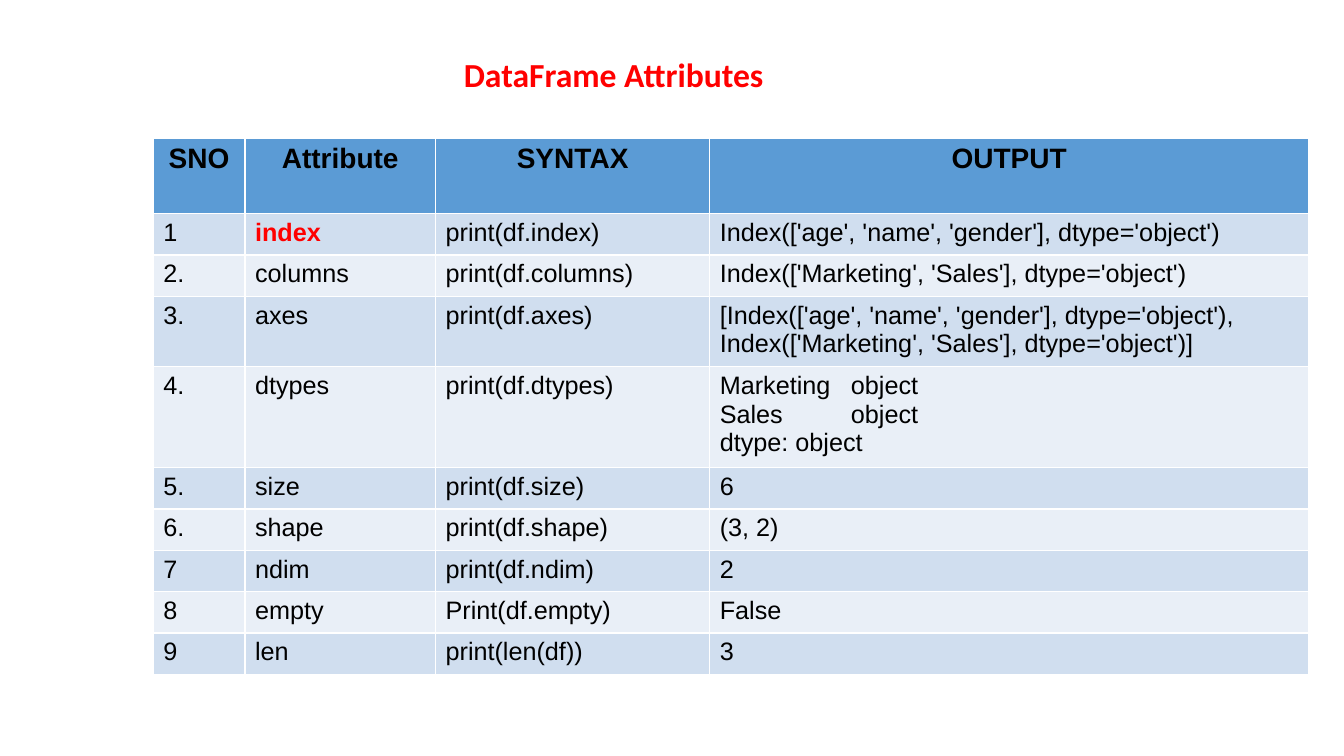
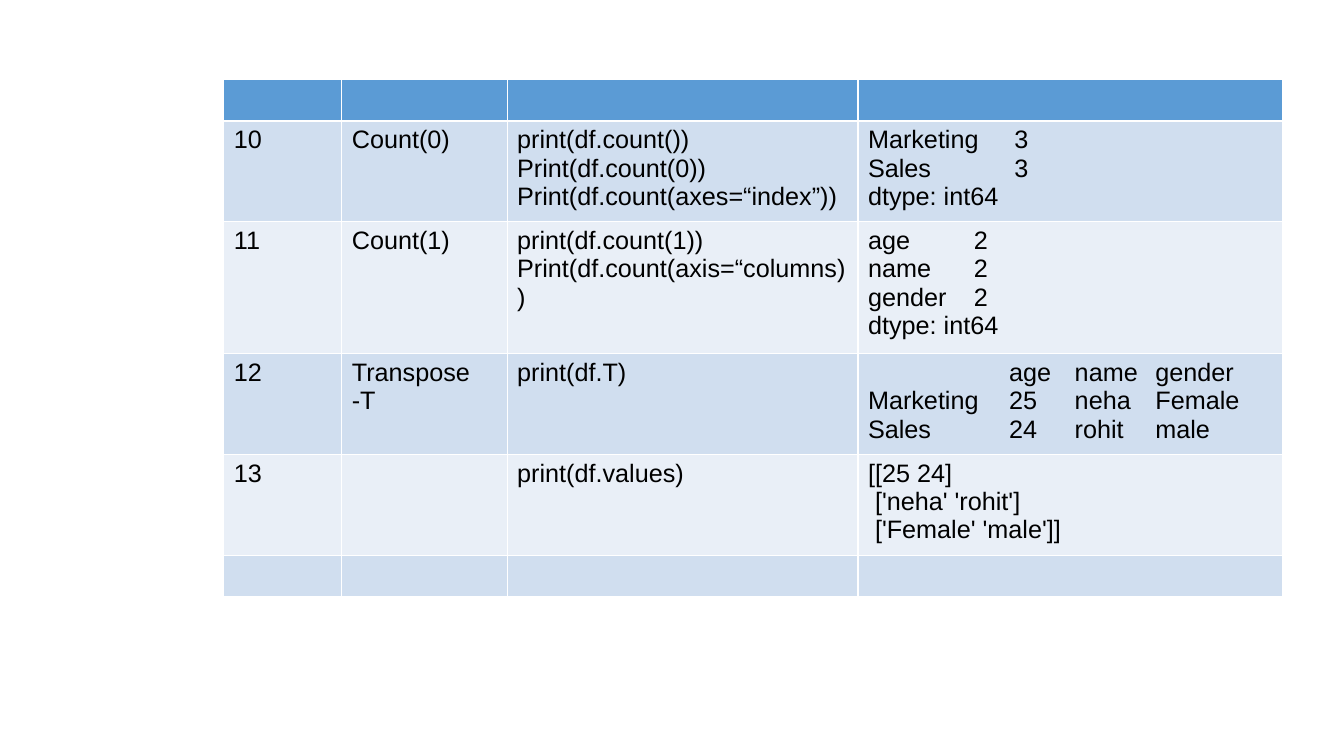
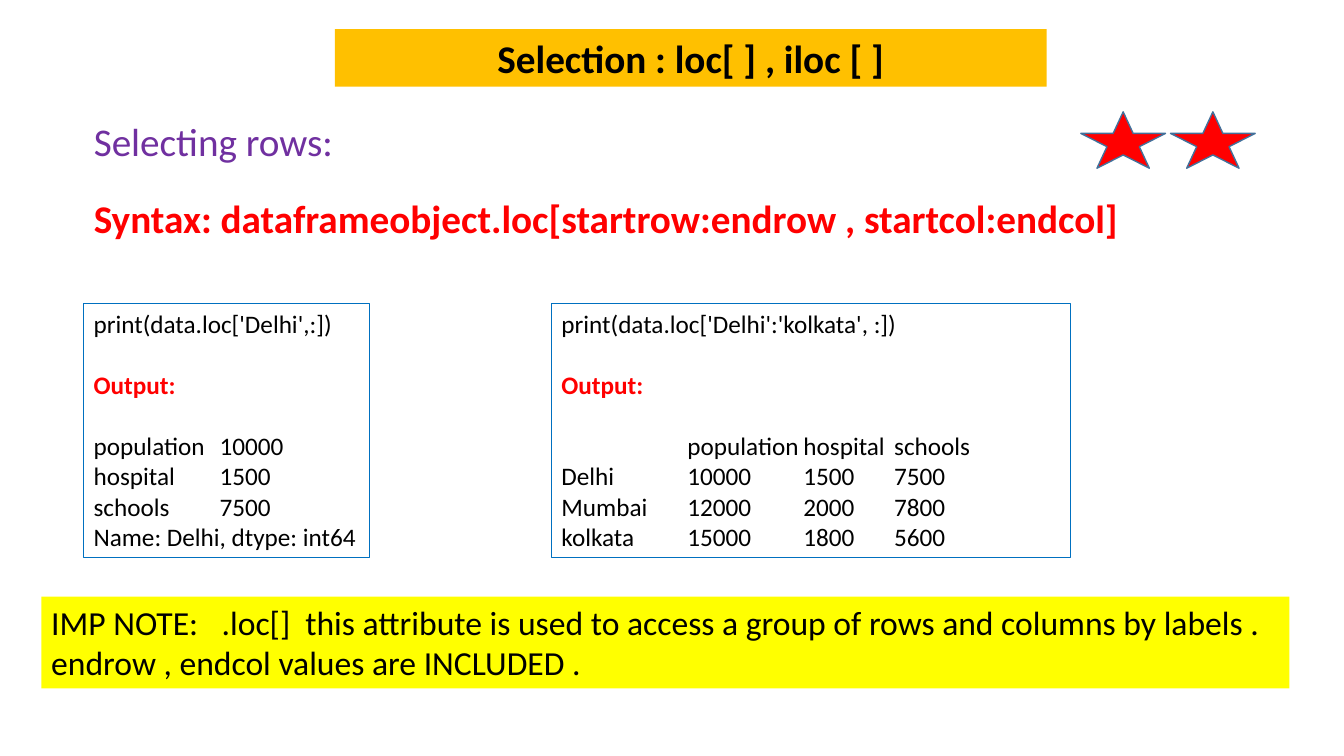
from pptx import Presentation
from pptx.dml.color import RGBColor
from pptx.enum import shapes, text
from pptx.oxml.ns import qn
from pptx.util import Inches, Pt
from lxml import etree

BLACK = RGBColor(0x00, 0x00, 0x00)
RED = RGBColor(0xFF, 0x00, 0x00)
PURPLE = RGBColor(0x70, 0x30, 0xA0)
ORANGE = RGBColor(0xFF, 0xC0, 0x00)
YELLOW = RGBColor(0xFF, 0xFF, 0x00)
BOX_BLUE = RGBColor(0x00, 0x70, 0xC0)
STAR_BLUE = RGBColor(0x42, 0x71, 0x9B)
HEADER_FILL = RGBColor(0x5B, 0x9B, 0xD5)
BAND_FILLS = (RGBColor(0xE9, 0xEF, 0xF7), RGBColor(0xD0, 0xDE, 0xEF))

EMPHASIS = ("index", "Output:")
ROW_HEIGHT = 0.41

ATTRIBUTES = [
    ("SNO", "Attribute", "SYNTAX", "OUTPUT"),
    ("1", "index", "print(df.index)", "Index(['age', 'name', 'gender'], dtype='object')"),
    ("2.", "columns", "print(df.columns)", "Index(['Marketing', 'Sales'], dtype='object')"),
    ("3.", "axes", "print(df.axes)",
     "[Index(['age', 'name', 'gender'], dtype='object'), Index(['Marketing', 'Sales'], dtype='object')]"),
    ("4.", "dtypes", "print(df.dtypes)", "Marketing\tobject\nSales\tobject\ndtype: object"),
    ("5.", "size", "print(df.size)", "6"),
    ("6.", "shape", "print(df.shape)", "(3, 2)"),
    ("7", "ndim", "print(df.ndim)", "2"),
    ("8", "empty", "Print(df.empty)", "False"),
    ("9", "len", "print(len(df))", "3"),
]
ATTRIBUTE_HEIGHTS = {0: 0.75, 3: 0.7, 4: 1}
ATTRIBUTE_TABS = {4: [1.3]}

METHODS = [
    ("", "", "", ""),
    ("10", "Count(0)", "print(df.count())\nPrint(df.count(0))\nPrint(df.count(axes=“index”))",
     "Marketing\t3\nSales\t3\ndtype: int64"),
    ("11", "Count(1)", "print(df.count(1))\nPrint(df.count(axis=“columns))",
     "age\t2\nname\t2\ngender\t2\ndtype: int64"),
    ("12", "Transpose -T", "print(df.T)",
     "\tage\tname\tgender\nMarketing\t25\tneha\tFemale\nSales\t24\trohit\tmale"),
    ("13", "", "print(df.values)", "[[25 24]\n ['neha' 'rohit']\n ['Female' 'male']]"),
    ("", "", "", ""),
]
METHOD_HEIGHTS = {1: 1, 2: 1.31, 3: 1, 4: 1}
METHOD_TABS = {1: [1.45], 2: [1.05], 3: [1.4, 2.05, 2.85]}

EXAMPLES = [
    (0.83, 2.84, [1.25],
     ["print(data.loc['Delhi',:])", "Output:", "population\t10000", "hospital\t1500",
      "schools\t7500", "Name: Delhi, dtype: int64"]),
    (5.47, 5.15, [1.25, 2.4, 3.3],
     ["print(data.loc['Delhi':'kolkata', :])", "Output:", "\tpopulation\thospital\tschools",
      "Delhi\t10000\t1500\t7500", "Mumbai\t12000\t2000\t7800", "kolkata\t15000\t1800\t5600"]),
]
NOTE = [
    "IMP NOTE:\t.loc[]\tthis attribute is used to access a group of rows and columns by labels .",
    "endrow , endcol values are INCLUDED .",
]


def place(part, left, top, width, height):
    part.left, part.top = Inches(left), Inches(top)
    part.width, part.height = Inches(width), Inches(height)


def style(paragraph, size, color=BLACK, bold=False, face="Calibri", align=text.PP_ALIGN.LEFT):
    paragraph.alignment = align
    font = paragraph.font
    font.size, font.bold, font.name = Pt(size), bold, face
    font.color.rgb = color


def set_tabs(paragraph, stops):
    tab_list = etree.SubElement(paragraph._p.get_or_add_pPr(), qn("a:tabLst"))
    for stop in stops:
        etree.SubElement(tab_list, qn("a:tab"), pos=str(Inches(stop)), algn="l")


def write(frame, lines, size, face="Calibri", tabs=()):
    frame.text = "\n".join(lines)
    for paragraph in frame.paragraphs:
        if tabs and "\t" in paragraph.text:
            set_tabs(paragraph, tabs)
        marked = paragraph.text in EMPHASIS
        style(paragraph, size, RED if marked else BLACK, marked, face)


def add_title(slide, wording, box, size, color, align):
    title = slide.shapes.title
    place(title, *box)
    title.text_frame.text = wording
    title.text_frame.auto_size = text.MSO_AUTO_SIZE.NONE
    style(title.text_frame.paragraphs[0], size, color, True, align=align)
    return title


def add_grid(slide, left, top, widths, rows, heights, tabs, header_size):
    row_heights = [heights.get(i, ROW_HEIGHT) for i in range(len(rows))]
    grid = slide.shapes.add_table(len(rows), len(widths), Inches(left), Inches(top),
                                  Inches(sum(widths)), Inches(sum(row_heights))).table
    for column, width in zip(grid.columns, widths):
        column.width = Inches(width)
    for i, (row, height, values) in enumerate(zip(grid.rows, row_heights, rows)):
        row.height = Inches(height)
        for cell, value in zip(row.cells, values):
            cell.fill.solid()
            cell.fill.fore_color.rgb = BAND_FILLS[i % 2] if i else HEADER_FILL
            write(cell.text_frame, value.split("\n"), 18, "Arial", tabs.get(i, ()))
            if i == 0:
                style(cell.text_frame.paragraphs[0], header_size, bold=True, face="Arial",
                      align=text.PP_ALIGN.CENTER)


def add_panel(slide, preset, box, fill=None, line=None, line_width=1):
    panel = slide.shapes.add_shape(preset, *map(Inches, box))
    panel.shadow.inherit = False
    if fill is None:
        panel.fill.background()
    else:
        panel.fill.solid()
        panel.fill.fore_color.rgb = fill
    if line is None:
        panel.line.fill.background()
    else:
        panel.line.color.rgb = line
        panel.line.width = Pt(line_width)
    panel.text_frame.word_wrap = True
    panel.text_frame.vertical_anchor = text.MSO_ANCHOR.TOP
    return panel


def attributes_slide(deck):
    slide = deck.slides.add_slide(deck.slide_layouts[5])
    add_title(slide, "DataFrame Attributes", (4.5, 0.48, 3.29, 0.5), 24, RED, text.PP_ALIGN.LEFT)
    add_grid(slide, 1.52, 1.37, [0.91, 1.89, 2.72, 5.94], ATTRIBUTES,
             ATTRIBUTE_HEIGHTS, ATTRIBUTE_TABS, 20)


def methods_slide(deck):
    slide = deck.slides.add_slide(deck.slide_layouts[6])
    add_grid(slide, 2.22, 0.79, [1.17, 1.64, 3.48, 4.21], METHODS,
             METHOD_HEIGHTS, METHOD_TABS, 18)


def selection_slide(deck):
    slide = deck.slides.add_slide(deck.slide_layouts[1])
    title = add_title(slide, "Selection : loc[ ] , iloc [ ]", (3.32, 0.29, 7.06, 0.57), 28, BLACK,
                      text.PP_ALIGN.CENTER)
    title.fill.solid()
    title.fill.fore_color.rgb = ORANGE

    for left, width, tabs, lines in EXAMPLES:
        example = add_panel(slide, shapes.MSO_SHAPE.RECTANGLE, (left, 3.01, width, 2.52),
                            line=BOX_BLUE, line_width=0.75)
        write(example.text_frame, lines, 18, tabs=tabs)
        for paragraph in example.text_frame.paragraphs[1:3]:
            paragraph.space_before = Pt(22)

    syntax = slide.placeholders[1]
    place(syntax, 0.83, 1.11, 11.2, 1.65)
    syntax.text_frame.text = ("Selecting rows:\n"
                              "Syntax: dataframeobject.loc[startrow:endrow , startcol:endcol]")
    syntax.text_frame.auto_size = text.MSO_AUTO_SIZE.NONE
    looks = [(PURPLE, False, 0), (RED, True, 22)]
    for paragraph, (color, bold, gap) in zip(syntax.text_frame.paragraphs, looks):
        paragraph.space_before = Pt(gap)
        properties = paragraph._p.get_or_add_pPr()
        properties.set("marL", "0")
        properties.set("indent", "0")
        etree.SubElement(properties, qn("a:buNone"))
        style(paragraph, 28, color, bold)

    note = add_panel(slide, shapes.MSO_SHAPE.RECTANGLE, (0.41, 5.92, 12.38, 0.91), YELLOW)
    write(note.text_frame, NOTE, 24, tabs=[1.69, 2.52])

    for i in range(2):
        add_panel(slide, shapes.MSO_SHAPE.STAR_5_POINT, (10.72 + 0.89 * i, 1.11, 0.84, 0.56),
                  RED, STAR_BLUE)


def main():
    deck = Presentation()
    deck.slide_width, deck.slide_height = Inches(13.33), Inches(7.5)
    attributes_slide(deck)
    methods_slide(deck)
    selection_slide(deck)
    deck.save("out.pptx")


if __name__ == "__main__":
    main()
